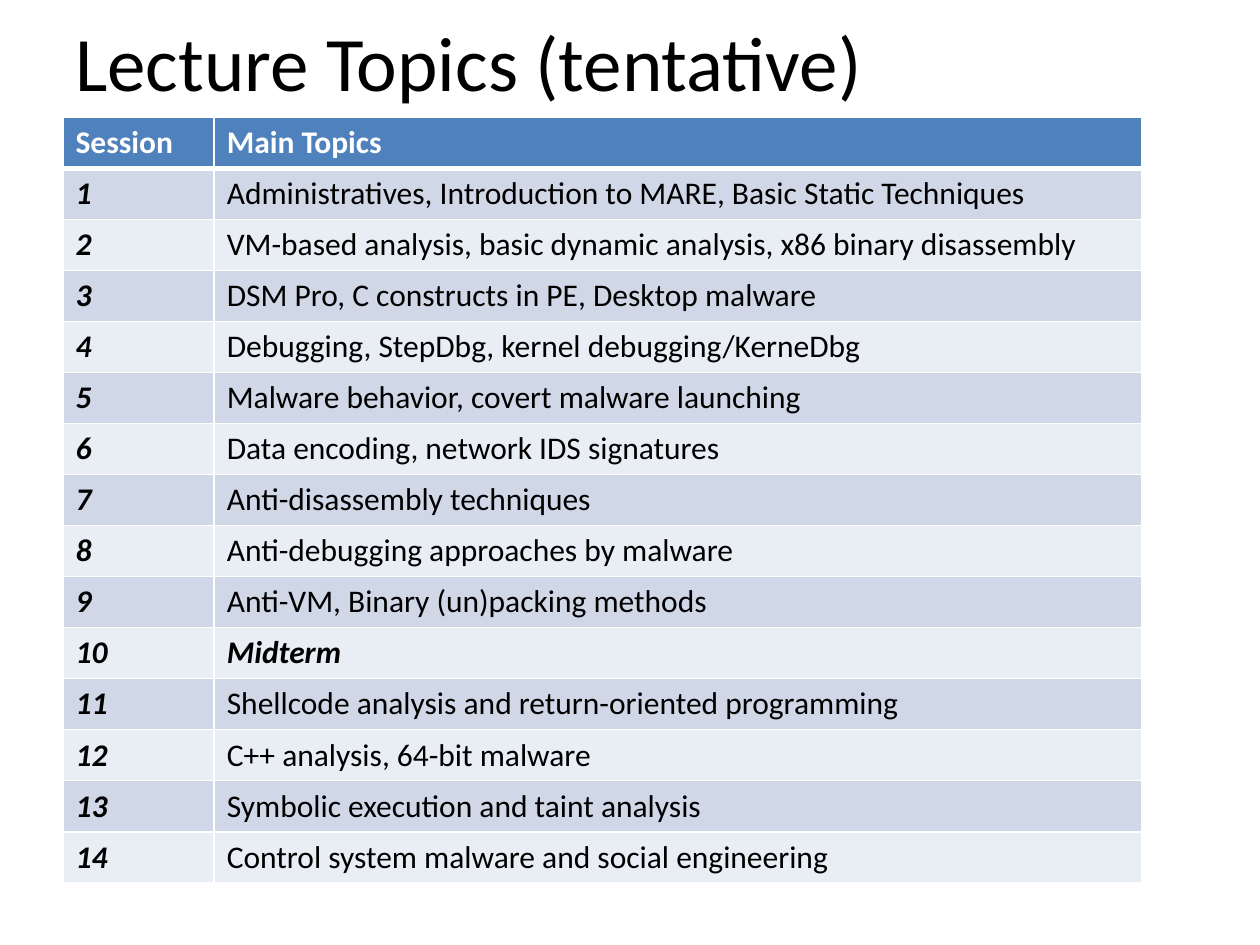
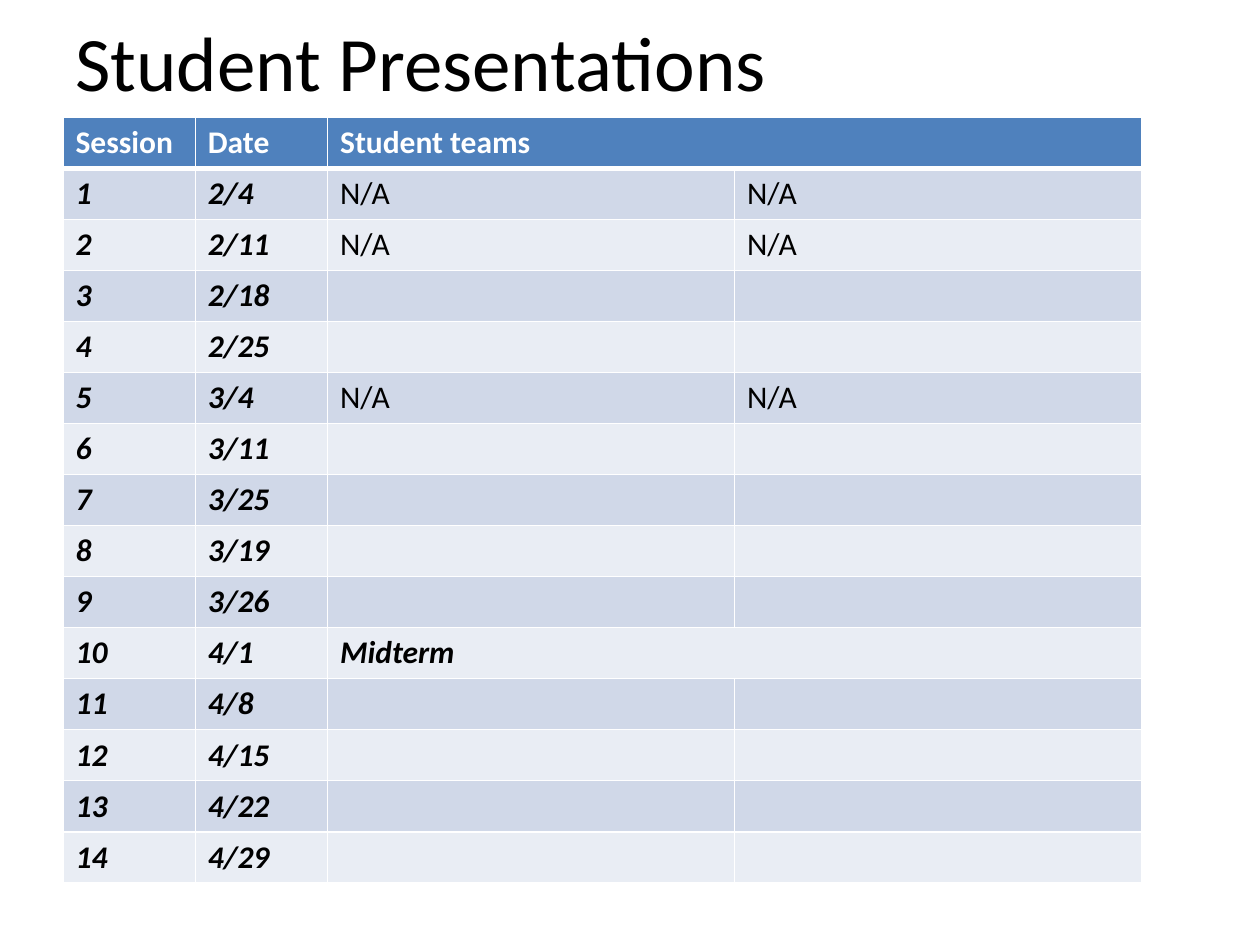
from dataclasses import dataclass

from lxml import etree
from pptx import Presentation
from pptx.dml.color import RGBColor
from pptx.enum import text
from pptx.oxml import ns
from pptx.util import Inches, Pt

# Shared style
FONT = "Calibri"
BLACK, WHITE = "000000", "FFFFFF"
HEADER_FILL = "4F81BD"
BAND_FILLS = ("D0D8E8", "E9EDF4")
TITLE_SIZE, TABLE_SIZE = 44, 18
THIN, THICK = 1, 3
TABLE_LEFT, TABLE_TOP, TABLE_HEIGHT = 0.5, 0.93, 6.08
MIDTERM = "Midterm"


@dataclass
class Schedule:
    """A titled table; a row shorter than the header merges its last cell."""
    title: str
    widths: list[float]
    key_columns: int
    rows: list[list[str]]


def color(value: str) -> RGBColor:
    return RGBColor.from_string(value)


def style_paragraph(para, size: float, value: str, bold=False, italic=False) -> None:
    for span in para.runs:
        font = span.font
        font.name, font.size = FONT, Pt(size)
        font.bold, font.italic = bold, italic
        font.color.rgb = color(value)


def add_title(page, title: str) -> None:
    box = page.shapes.add_textbox(Inches(0.5), Inches(0.03), Inches(9), Inches(0.91))
    frame = box.text_frame
    frame.word_wrap = True
    frame.vertical_anchor = text.MSO_ANCHOR.MIDDLE
    frame.text = title
    style_paragraph(frame.paragraphs[0], TITLE_SIZE, BLACK)


def set_borders(cell, top: float, bottom: float) -> None:
    properties = cell._tc.get_or_add_tcPr()
    for side, width in (("L", THIN), ("R", THIN), ("T", top), ("B", bottom)):
        line = etree.SubElement(properties, ns.qn(f"a:ln{side}"), w=str(Pt(width)))
        fill = etree.SubElement(line, ns.qn("a:solidFill"))
        etree.SubElement(fill, ns.qn("a:srgbClr"), val=WHITE)


def style_cell(cell, row: int, is_key: bool) -> None:
    is_header = row == 0
    set_borders(cell, THICK if row == 1 else THIN, THICK if is_header else THIN)
    cell.fill.solid()
    cell.fill.fore_color.rgb = color(HEADER_FILL if is_header else BAND_FILLS[(row - 1) % 2])
    style_paragraph(cell.text_frame.paragraphs[0], TABLE_SIZE,
                    WHITE if is_header else BLACK,
                    bold=is_header or is_key, italic=is_key and not is_header)


def add_schedule(page, schedule: Schedule) -> None:
    row_count, column_count = len(schedule.rows), len(schedule.widths)
    table = page.shapes.add_table(
        row_count, column_count, Inches(TABLE_LEFT), Inches(TABLE_TOP),
        Inches(sum(schedule.widths)), Inches(TABLE_HEIGHT)).table
    table.horz_banding = False
    for column, width in zip(table.columns, schedule.widths):
        column.width = Inches(width)
    for row, values in enumerate(schedule.rows):
        table.rows[row].height = Inches(TABLE_HEIGHT / row_count)
        for column in range(column_count):
            cell = table.cell(row, column)
            value = values[column] if column < len(values) else ""
            if value:
                cell.text = value
            style_cell(cell, row, column < schedule.key_columns or value == MIDTERM)
        if len(values) < column_count:
            table.cell(row, len(values) - 1).merge(table.cell(row, column_count - 1))


# Slide content
TOPICS = [
    "Administratives, Introduction to MARE, Basic Static Techniques",
    "VM-based analysis, basic dynamic analysis, x86 binary disassembly",
    "DSM Pro, C constructs in PE, Desktop malware",
    "Debugging, StepDbg, kernel debugging/KerneDbg",
    "Malware behavior, covert malware launching",
    "Data encoding, network IDS signatures",
    "Anti-disassembly techniques",
    "Anti-debugging approaches by malware",
    "Anti-VM, Binary (un)packing methods",
    MIDTERM,
    "Shellcode analysis and return-oriented programming",
    "C++ analysis, 64-bit malware",
    "Symbolic execution and taint analysis",
    "Control system malware and social engineering",
]
DATES = ["2/4", "2/11", "2/18", "2/25", "3/4", "3/11", "3/25",
         "3/19", "3/26", "4/1", "4/8", "4/15", "4/22", "4/29"]
TEAMS = {1: ["N/A", "N/A"], 2: ["N/A", "N/A"], 5: ["N/A", "N/A"], 10: [MIDTERM]}

SCHEDULES = [
    Schedule("Lecture Topics (tentative)", [1.2, 7.36], 1,
             [["Session", "Main Topics"]]
             + [[str(number), topic] for number, topic in enumerate(TOPICS, 1)]),
    Schedule("Student Presentations", [1.05, 1.05, 3.23, 3.23], 2,
             [["Session", "Date", "Student teams"]]
             + [[str(number), date, *TEAMS.get(number, ["", ""])]
                for number, date in enumerate(DATES, 1)]),
]


def main() -> None:
    deck = Presentation()
    deck.slide_width, deck.slide_height = Inches(10), Inches(7.5)
    for schedule in SCHEDULES:
        page = deck.slides.add_slide(deck.slide_layouts[6])
        add_title(page, schedule.title)
        add_schedule(page, schedule)
    deck.save("out.pptx")


if __name__ == "__main__":
    main()
